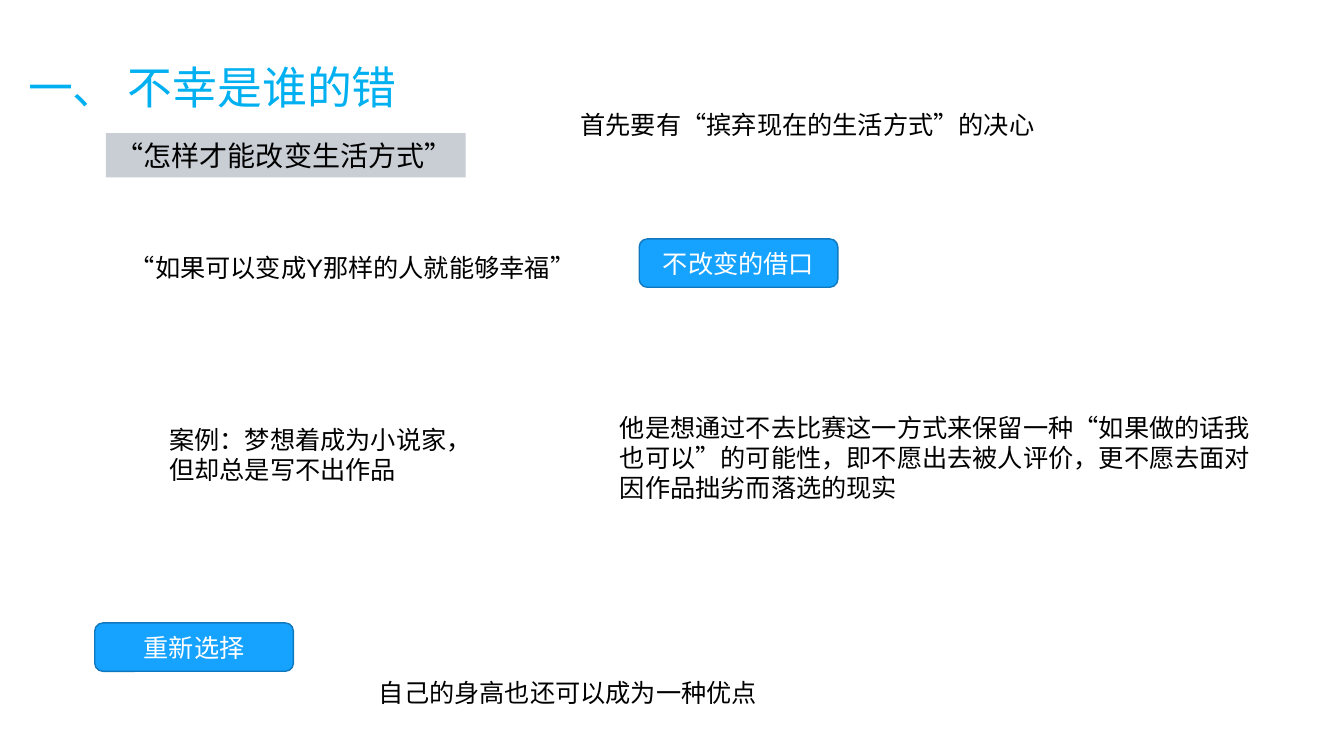
import pptx
import pptx.util
import pptx.dml.color
import pptx.enum.lang
import pptx.enum.shapes
import pptx.enum.text
import pptx.oxml.ns
from lxml import etree

Inches = pptx.util.Inches
SHAPE = pptx.enum.shapes.MSO_SHAPE
ANCHOR = pptx.enum.text.MSO_ANCHOR
ALIGN = pptx.enum.text.PP_ALIGN

COLORS = {
    "title": "00B0F0",
    "text": "000000",
    "band": "C9CED5",
    "button": "16A2FF",
    "outline": "1078BD",
    "white": "FFFFFF",
}
CJK_FONT = "Noto Sans CJK SC"


def rgb(name):
    return pptx.dml.color.RGBColor.from_string(COLORS[name])


def write(sp, text, size=18, color="text", font="Arial",
          align=ALIGN.LEFT, anchor=ANCHOR.TOP):
    tf = sp.text_frame
    tf.word_wrap = True
    tf.vertical_anchor = anchor
    p = tf.paragraphs[0]
    p.alignment = align
    r = p.add_run()
    r.text = text
    r.font.size = pptx.util.Pt(size)
    r.font.name = font
    r.font.color.rgb = rgb(color)
    r.font.language_id = pptx.enum.lang.MSO_LANGUAGE_ID.SIMPLIFIED_CHINESE
    ea = etree.SubElement(r.font._element, pptx.oxml.ns.qn("a:ea"))
    ea.set("typeface", CJK_FONT)


def add_text(s, box, text, **fmt):
    sp = s.shapes.add_textbox(*map(Inches, box))
    write(sp, text, **fmt)


def add_box(s, kind, box, fill, text, line=None, **fmt):
    sp = s.shapes.add_shape(kind, *map(Inches, box))
    sp.shadow.inherit = False
    sp.fill.solid()
    sp.fill.fore_color.rgb = rgb(fill)
    if line:
        sp.line.color.rgb = rgb(line)
        sp.line.width = pptx.util.Pt(1)
    else:
        sp.line.fill.background()
    write(sp, text, **fmt)


def add_button(s, left, top, text):
    add_box(s, SHAPE.ROUNDED_RECTANGLE, (left, top, 1.97, 0.48), "button", text,
            line="outline", color="white", align=ALIGN.CENTER, anchor=ANCHOR.MIDDLE)


def add_heading(s, left, top):
    add_text(s, (left, top, 10.28, 0.64), "一、 不幸是谁的错", size=32, color="title")
    add_box(s, SHAPE.RECTANGLE, (left + 0.87, top + 0.78, 3.57, 0.44), "band",
            "“怎样才能改变生活方式”", size=20, font=CJK_FONT)
    # Answer to the question in the band
    add_text(s, (left + 5.48, top + 0.5, 4.75, 0.4), "首先要有“摈弃现在的生活方式”的决心")


def add_excuse(s, left, top):
    add_text(s, (left, top + 0.08, 4.66, 0.4), "“如果可以变成Y那样的人就能够幸福”")
    add_button(s, left + 5.15, top, "不改变的借口")


def add_case(s, left, top):
    add_text(s, (left, top + 0.12, 3.14, 0.71), "案例：梦想着成为小说家，但却总是写不出作品")
    add_text(s, (left + 4.47, top, 6.67, 1.01),
             "他是想通过不去比赛这一方式来保留一种“如果做的话我也可以”的可能性，"
             "即不愿出去被人评价，更不愿去面对因作品拙劣而落选的现实")


def add_choice(s, left, top):
    add_button(s, left, top, "重新选择")
    add_text(s, (left + 2.72, top + 0.49, 3.99, 0.4), "自己的身高也还可以成为一种优点")


def main():
    prs = pptx.Presentation()
    prs.slide_width = Inches(13.33)
    prs.slide_height = Inches(7.5)
    s = prs.slides.add_slide(prs.slide_layouts[6])
    add_heading(s, 0.18, 0.54)
    add_excuse(s, 1.19, 2.37)
    add_case(s, 1.58, 4.04)
    add_choice(s, 0.94, 6.18)
    prs.save("out.pptx")


if __name__ == "__main__":
    main()
